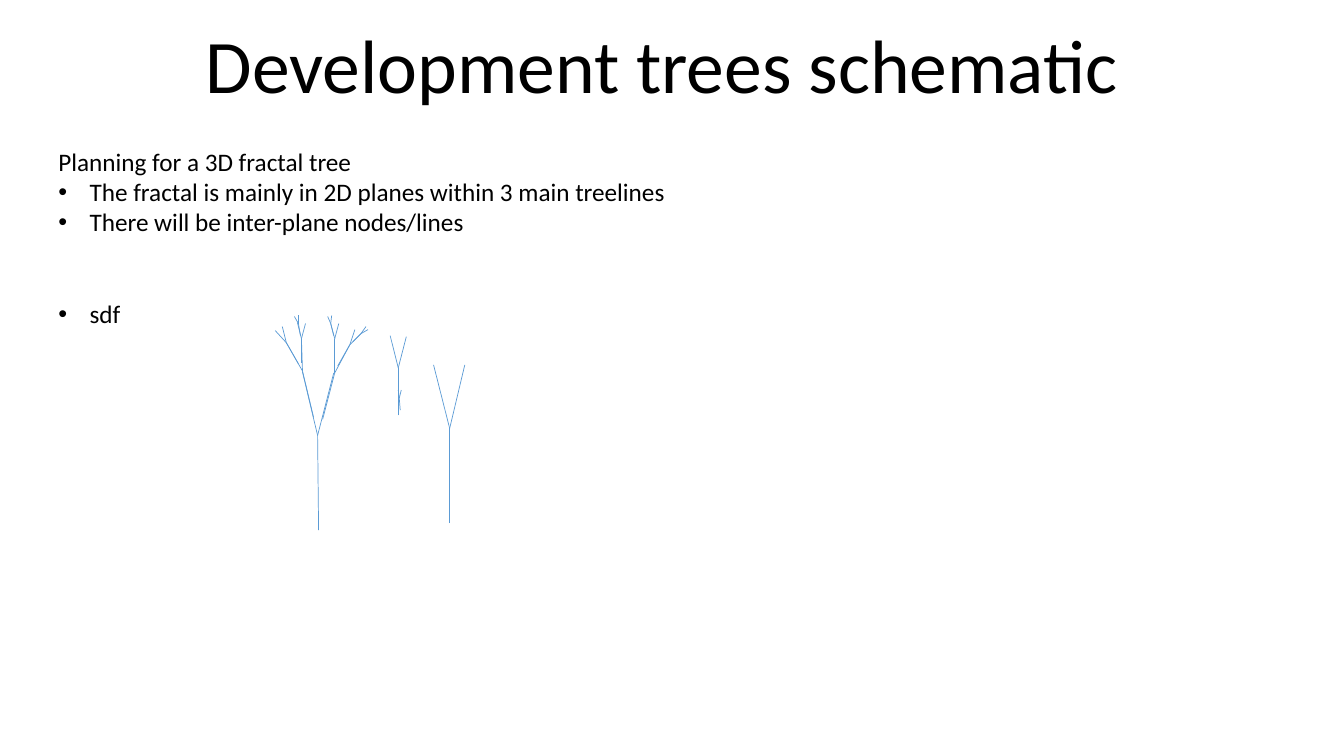
import pptx
import pptx.dml.color
import pptx.enum.shapes
import pptx.enum.text
import pptx.oxml.ns
import pptx.util
from dataclasses import dataclass
from lxml import etree

# Content
TITLE = "Development trees schematic"
INTRO = "Planning for a 3D fractal tree"
BULLETS = [
    # text, space before in points
    ("The fractal is mainly in 2D planes within 3 main treelines", 0),
    ("There will be inter-plane nodes/lines", 0),
    ("sdf", 44),
]

# Each fork: foot, joint, left tip, right tip, in (column, row) grid cells
FORKS = [
    ((316, 526), (315, 432), (300, 369), (331, 370)),
    ((446, 519), (446, 425), (430, 362), (461, 362)),
    ((311, 414), (300, 368), (284, 340), (299, 336)),
    ((395, 412), (395, 365), (387, 333), (403, 334)),
    ((320, 416), (332, 370), (332, 338), (347, 342)),
    ((299, 360), (299, 336), (295, 320), (303, 321)),
    ((332, 360), (332, 336), (328, 321), (336, 321)),
    ((335, 363), (347, 342), (352, 327), (358, 331)),
    ((296, 361), (284, 340), (273, 328), (280, 324)),
    ((350, 339), (358, 331), (363, 324), (365, 327)),
    ((397, 407), (396, 395), (395, 387), (398, 387)),
    ((298, 333), (296, 321), (292, 314), (296, 313)),
    ((331, 333), (328, 321), (325, 314), (329, 313)),
]

# Grid: 100 cells to the inch; areas are column, row, columns, rows
CELL = pptx.util.Inches(0.01)
PAGE_CELLS = (1333, 750)
TITLE_AREA = (189, 12, 935, 101)
NOTES_AREA = (48, 140, 1209, 192)
BULLET_INDENT = 31


@dataclass
class Theme:
    font: str = "Calibri"
    ink: str = "000000"
    branch: str = "5B9BD5"
    title_size: float = 54
    text_size: float = 18
    branch_width: float = 0.5


THEME = Theme()


def cells(values):
    return [value * CELL for value in values]


def write(para, text, size, align=None, before=0, bullet=False):
    span = para.add_run()
    span.text = text
    span.font.name = THEME.font
    span.font.size = pptx.util.Pt(size)
    span.font.color.rgb = pptx.dml.color.RGBColor.from_string(THEME.ink)
    para.alignment = align
    para.space_before = pptx.util.Pt(before)
    if bullet:
        properties = para._p.get_or_add_pPr()
        properties.set("marL", str(BULLET_INDENT * CELL))
        properties.set("indent", str(-BULLET_INDENT * CELL))
        for tag, key, value in (("a:buFont", "typeface", "Arial"),
                                ("a:buChar", "char", "•")):
            mark = etree.SubElement(properties, pptx.oxml.ns.qn(tag))
            mark.set(key, value)


def draw_branch(group, start, end):
    line = group.shapes.add_connector(
        pptx.enum.shapes.MSO_CONNECTOR.STRAIGHT, *cells(start + end))
    line.line.color.rgb = pptx.dml.color.RGBColor.from_string(THEME.branch)
    line.line.width = pptx.util.Pt(THEME.branch_width)
    etree.SubElement(line._element.spPr, pptx.oxml.ns.qn("a:effectLst"))


def main():
    deck = pptx.Presentation()
    deck.slide_width, deck.slide_height = cells(PAGE_CELLS)
    page = deck.slides.add_slide(deck.slide_layouts.get_by_name("Title Only"))

    # Title
    title = page.shapes.title
    title.left, title.top, title.width, title.height = cells(TITLE_AREA)
    title.text_frame.word_wrap = False
    write(title.text_frame.paragraphs[0], TITLE, THEME.title_size,
          align=pptx.enum.text.PP_ALIGN.CENTER)

    # Planning notes
    frame = page.shapes.add_textbox(*cells(NOTES_AREA)).text_frame
    frame.word_wrap = True
    write(frame.paragraphs[0], INTRO, THEME.text_size)
    for text, before in BULLETS:
        write(frame.add_paragraph(), text, THEME.text_size,
              before=before, bullet=True)

    # Tree forks: one trunk and two tips each
    for foot, joint, left_tip, right_tip in FORKS:
        fork = page.shapes.add_group_shape()
        draw_branch(fork, foot, joint)
        for tip in (left_tip, right_tip):
            draw_branch(fork, joint, tip)

    deck.save("out.pptx")


if __name__ == "__main__":
    main()
